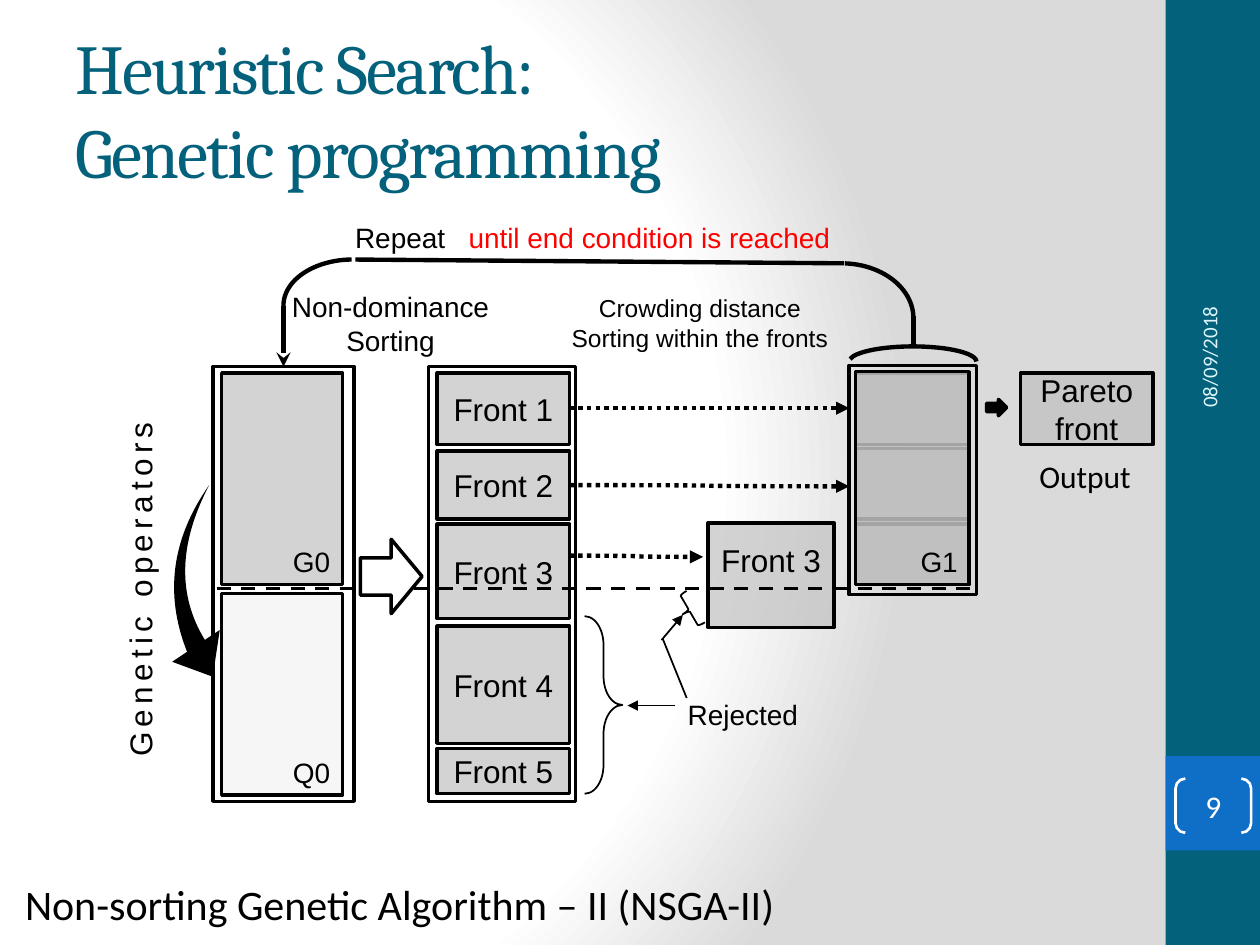
"""Build the NSGA-II slide of the heuristic search lecture."""
from dataclasses import dataclass
from typing import Any, Optional, Union

from pptx import Presentation
from pptx import util as u
from pptx.dml.color import RGBColor
from pptx.enum import dml, shapes, text
from pptx.oxml import parse_xml
from pptx.oxml.ns import nsdecls, qn
from pptx.oxml.xmlchemy import OxmlElement

PX = u.Inches(1) // 100
FORM = shapes.MSO_SHAPE
ALIGN = text.PP_ALIGN
ANCHOR = text.MSO_ANCHOR
DASH = dml.MSO_LINE


@dataclass(frozen=True)
class Theme:
    teal: str = "04617B"
    blue: str = "0F6FC6"
    pale: str = "DBF5F9"
    white: str = "FFFFFF"
    black: str = "000000"
    red: str = "FF0000"
    grey: str = "BFBFBF"
    light: str = "F2F2F2"
    edge: str = "DADADA"
    diagram: str = "Arial"
    body: str = "Calibri"
    heading: str = "Cambria"
    title: int = 40
    caption: int = 24
    large: int = 18
    medium: int = 16
    small: int = 14
    date: int = 12


T = Theme()


@dataclass(frozen=True)
class Label:
    words: str
    size: int = T.large
    font: str = T.diagram
    color: str = T.black
    align: ALIGN = ALIGN.CENTER
    anchor: ANCHOR = ANCHOR.MIDDLE
    insets: tuple[int, int, int, int] = (10, 5, 10, 5)
    wrap: bool = True
    vertical: str = "horz"
    spacing: int = 0


@dataclass(frozen=True)
class Box:
    left: int
    top: int
    width: int
    height: int
    label: Optional[Label] = None
    form: Optional[FORM] = FORM.RECTANGLE
    fill: Optional[str] = None
    alpha: int = 100
    line: Optional[str] = T.black
    weight: float = 2
    adjust: tuple[float, ...] = ()
    turn: float = 0
    flip: bool = False


@dataclass(frozen=True)
class Link:
    start: tuple[int, int]
    end: tuple[int, int]
    weight: float = 1
    head: Optional[str] = None
    dash: Optional[DASH] = None
    curve: bool = False


def assign(target: Any, values: dict[str, Any]) -> None:
    for key, value in values.items():
        setattr(target, key, value)


def rgb(color: str) -> RGBColor:
    return RGBColor.from_string(color)


def stroke(line: Any, color: str, weight: float) -> None:
    line.color.rgb = rgb(color)
    line.width = u.Pt(weight)


def write(frame: Any, label: Label) -> None:
    sides = ("margin_left", "margin_top", "margin_right", "margin_bottom")
    margins = {side: inset * PX for side, inset in zip(sides, label.insets)}
    frame.text = label.words
    assign(frame, {"word_wrap": label.wrap, "vertical_anchor": label.anchor, **margins})
    frame._txBody.bodyPr.set("vert", label.vertical)
    for paragraph in frame.paragraphs:
        paragraph.alignment = label.align
        for run in paragraph.runs:
            assign(run.font, {"name": label.font, "size": u.Pt(label.size)})
            run.font.color.rgb = rgb(label.color)
            run._r.get_or_add_rPr().set("spc", str(label.spacing * 100))


def draw_box(slide: Any, box: Box) -> None:
    frame = [side * PX for side in (box.left, box.top, box.width, box.height)]
    if box.form is None:
        shape = slide.shapes.add_textbox(*frame)
    else:
        shape = slide.shapes.add_shape(box.form, *frame)
        shape.shadow.inherit = False
        for index, value in enumerate(box.adjust):
            shape.adjustments[index] = value
        if box.fill:
            shape.fill.solid()
            shape.fill.fore_color.rgb = rgb(box.fill)
            alpha = OxmlElement("a:alpha")
            alpha.set("val", str(box.alpha * 1000))
            shape.element.spPr.find(qn("a:solidFill"))[0].append(alpha)
        else:
            shape.fill.background()
        if box.line:
            stroke(shape.line, box.line, box.weight)
        else:
            shape.line.fill.background()
    shape.rotation = box.turn
    if box.flip:
        shape.element.spPr.find(qn("a:xfrm")).set("flipV", "1")
    if box.label:
        write(shape.text_frame, box.label)


def draw_link(slide: Any, link: Link) -> None:
    kind = shapes.MSO_CONNECTOR.CURVE if link.curve else shapes.MSO_CONNECTOR.STRAIGHT
    ends = [place * PX for place in link.start + link.end]
    connector = slide.shapes.add_connector(kind, *ends)
    stroke(connector.line, T.black, link.weight)
    if link.dash:
        connector.line.dash_style = link.dash
    if link.head:
        tail = OxmlElement("a:tailEnd")
        tail.set("type", link.head)
        connector.line._get_or_add_ln().append(tail)
    connector.element.spPr.append(OxmlElement("a:effectLst"))


def paint_background(slide: Any) -> None:
    slide.background.fill.gradient()
    gradient = slide.element.find(".//" + qn("a:gradFill"))
    stops = "".join(f'<a:gs pos="{place * 1000}"><a:srgbClr val="{color}"/></a:gs>'
                    for place, color in ((0, T.white), (75, T.white), (100, T.edge)))
    gradient.getparent().replace(gradient, parse_xml(
        f'<a:gradFill {nsdecls("a")} rotWithShape="1"><a:gsLst>{stops}</a:gsLst>'
        '<a:path path="circle"><a:fillToRect l="20000" t="50000" r="100000" b="50000"/>'
        '</a:path></a:gradFill>'))


def panel(left: int, top: int, width: int, height: int, label: Optional[Label] = None,
          fill: str = T.grey, alpha: int = 68) -> Box:
    return Box(left, top, width, height, label, fill=fill, alpha=alpha)


def note(left: int, top: int, width: int, height: int, words: str, size: int = T.medium,
         turn: float = 0, **style: Any) -> Box:
    style = {"align": ALIGN.LEFT, "anchor": ANCHOR.TOP, **style}
    return Box(left, top, width, height, Label(words, size, **style), None, turn=turn)


def arc(left: int, top: int, width: int, height: int, *adjust: float) -> Box:
    return Box(left, top, width, height, form=FORM.ARC, weight=2.5, adjust=adjust)


def corner(words: str) -> Label:
    return Label(words, T.medium, align=ALIGN.RIGHT, anchor=ANCHOR.BOTTOM)


def dotted(start: tuple[int, int], end: tuple[int, int]) -> Link:
    return Link(start, end, 2.5, "triangle", DASH.ROUND_DOT, True)


FRONTS = ((1, 296, 57), (2, 358, 54), (3, 416, 75), (4, 497, 93), (5, 594, 36))
SURVIVORS = ((296, 57), (356, 56), (416, 48))
PARTS: list[Union[Box, Link]] = [
    Box(925, 0, 75, 750, fill=T.teal, line=None),
    Box(925, 600, 75, 75, fill=T.blue, line=None),
    *(panel(679, top, 90, height) for top, height in SURVIVORS),
    note(826, 180, 267, 40, "08/09/2018", T.date, 270, font=T.body, color=T.pale,
         anchor=ANCHOR.MIDDLE),
    Box(933, 618, 60, 43, Label("9", font=T.body, color=T.white, insets=(0, 0, 0, 0)),
        FORM.DOUBLE_BRACKET, line=T.white, weight=1.5, adjust=(0.18,)),
    panel(562, 415, 100, 83, Label("Front 3", insets=(10, 0, 10, 24))),
    Box(340, 291, 117, 345),
    *(panel(347, top, 105, height, Label(f"Front {rank}")) for rank, top, height in FRONTS),
    Box(169, 291, 112, 345),
    panel(176, 296, 96, 168, corner("G0")),
    panel(176, 471, 96, 160, corner("Q0"), T.light),
    Link((172, 467), (776, 467), 2, dash=DASH.DASH),
    Box(286, 428, 49, 59, form=FORM.RIGHT_ARROW, fill=T.white),
    Link((525, 508), (542, 488), head="triangle"),
    Box(464, 489, 30, 141, form=FORM.RIGHT_BRACE, weight=1, adjust=(0.76, 0.5)),
    Box(541, 470, 12, 29, form=FORM.RIGHT_BRACE, weight=1, adjust=(0.1, 0.5), turn=149.7),
    Link((536, 560), (498, 560), head="triangle"),
    Link((526, 507), (545, 554)),
    note(536, 549, 109, 37, "Rejected", wrap=False),
    Box(102, 410, 118, 113, form=FORM.SWOOSH_ARROW, fill=T.black, line=None,
        adjust=(0.15, 0.25), turn=49.8, flip=True),
    note(91, 294, 50, 348, "Genetic operators", T.large, align=ALIGN.CENTER,
         vertical="vert270", spacing=3),
    note(221, 225, 178, 64, "Non-dominance\nSorting", align=ALIGN.CENTER, wrap=False),
    note(443, 228, 225, 57, "Crowding distance\nSorting within the fronts", T.small,
         align=ALIGN.CENTER, wrap=False),
    dotted((452, 324), (674, 324)),
    dotted((452, 385), (674, 386)),
    dotted((452, 441), (558, 442)),
    panel(679, 295, 90, 169, alpha=86),
    Box(674, 290, 101, 182),
    note(710, 427, 60, 37, "G1", align=ALIGN.RIGHT),
    Link((725, 275), (725, 251), 2.5),
    Link((225, 243), (225, 291), 2.75, "stealth"),
    Link((670, 209), (282, 206), 2.5),
    arc(674, 275, 101, 24, 109.37, 0),
    arc(225, 206, 110, 73, 107.84, 161.11),
    arc(611, 209, 114, 87, 164.07, 215.39),
    note(272, 170, 402, 37, "Repeat"),
    note(50, 21, 833, 130, "Heuristic Search:\vGenetic programming", T.title,
         font=T.heading, color=T.teal, anchor=ANCHOR.MIDDLE, spacing=-1),
    panel(810, 296, 105, 57, Label("Pareto front")),
    Box(783, 317, 16, 13, form=FORM.RIGHT_ARROW, fill=T.black),
    note(362, 170, 311, 37, "until end condition is reached", color=T.red, wrap=False),
    note(815, 358, 94, 40, "Output", T.large, font=T.body, wrap=False),
    note(10, 692, 669, 50, "Non-sorting Genetic Algorithm – II (NSGA-II)", T.caption,
         font=T.body),
]


def main() -> None:
    deck = Presentation()
    assign(deck, {"slide_width": 1000 * PX, "slide_height": 750 * PX})
    slide = deck.slides.add_slide(deck.slide_layouts[6])
    paint_background(slide)
    for part in PARTS:
        (draw_box if isinstance(part, Box) else draw_link)(slide, part)
    deck.save("out.pptx")


if __name__ == "__main__":
    main()
